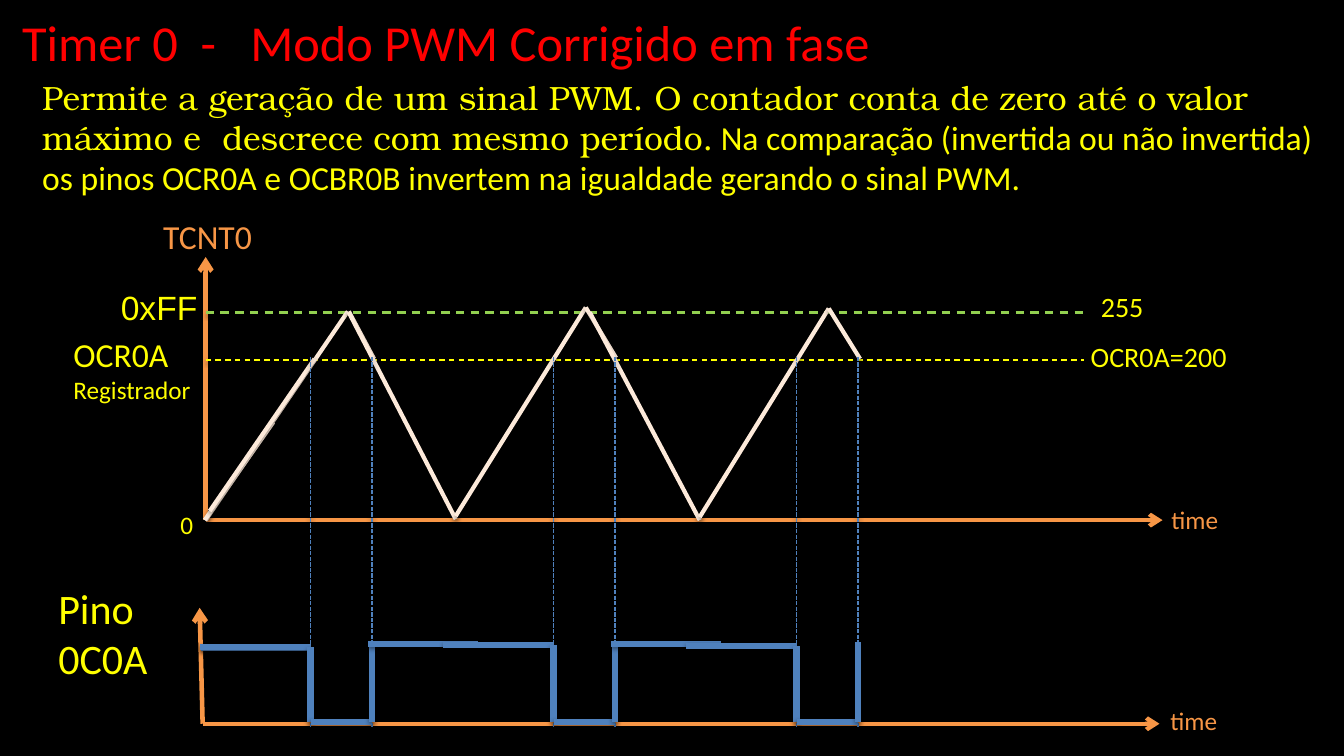
"""Build the slide on the phase-corrected PWM mode of Timer 0."""
from dataclasses import dataclass

import lxml.etree
import pptx
import pptx.dml.color
import pptx.enum.dml
import pptx.enum.shapes
import pptx.enum.text
import pptx.oxml.ns
import pptx.util

Inches = pptx.util.Inches
DASH = pptx.enum.dml.MSO_LINE.DASH
SHORT_DASH = pptx.enum.dml.MSO_LINE.SQUARE_DOT


@dataclass(frozen=True)
class Theme:
    background: str = "000000"
    title: str = "FF0000"
    text: str = "FFFF00"
    axis: str = "F79646"
    ramp: str = "FDEADA"
    pulse: str = "4F81BD"
    top: str = "92D050"
    font: str = "Calibri"
    serif: str = "TeX Gyre Bonum"
    sans: str = "Arial"
    title_size: int = 36
    pin_size: int = 30
    body_size: int = 24
    value_size: int = 20
    small_size: int = 18


class SlideBuilder:
    def __init__(self, deck, theme):
        self.theme = theme
        self.slide = deck.slides.add_slide(deck.slide_layouts[5])
        fill = self.slide.background.fill
        fill.solid()
        fill.fore_color.rgb = pptx.dml.color.RGBColor.from_string(theme.background)

    def span(self, para, text, size, color, font=None):
        run = para.add_run()
        run.text = text
        run.font.size = pptx.util.Pt(size)
        run.font.name = font or self.theme.font
        run.font.color.rgb = pptx.dml.color.RGBColor.from_string(color)

    def title(self, area, text):
        box = self.slide.shapes.title
        box.left, box.top, box.width, box.height = map(Inches, area)
        frame = box.text_frame
        frame.word_wrap = False
        frame.auto_size = pptx.enum.text.MSO_AUTO_SIZE.SHAPE_TO_FIT_TEXT
        frame.vertical_anchor = pptx.enum.text.MSO_ANCHOR.TOP
        para = frame.paragraphs[0]
        para.alignment = pptx.enum.text.PP_ALIGN.CENTER
        self.span(para, text, self.theme.title_size, self.theme.title)

    def text(self, area, paragraphs, wrap=False):
        box = self.slide.shapes.add_textbox(*map(Inches, area))
        frame = box.text_frame
        frame.word_wrap = wrap
        for index, spans in enumerate(paragraphs):
            para = frame.add_paragraph() if index else frame.paragraphs[0]
            for span in spans:
                self.span(para, *span)

    def line(self, points, color, width, dash=None, arrow=False):
        connector = self.slide.shapes.add_connector(
            pptx.enum.shapes.MSO_CONNECTOR.STRAIGHT, *map(Inches, points))
        connector.line.color.rgb = pptx.dml.color.RGBColor.from_string(color)
        connector.line.width = pptx.util.Pt(width)
        if dash:
            connector.line.dash_style = dash
        if arrow:
            line = connector.line._get_or_add_ln()
            lxml.etree.SubElement(line, pptx.oxml.ns.qn("a:tailEnd"), type="arrow")


def add_texts(page):
    theme = page.theme
    page.title((0.08, 0.06, 8.69, 0.71), "Timer 0  -   Modo PWM Corrigido em fase")
    page.text((0.32, 0.71, 12.92, 2.26), [[
        ("Permite a geração de um sinal PWM. O contador conta de zero até o valor "
         "máximo e  descrece com mesmo período.",
         theme.body_size, theme.text, theme.serif),
        (" Na comparação (invertida ou não invertida) os pinos OCR0A e OCBR0B "
         "invertem na igualdade gerando o sinal PWM.", theme.body_size, theme.text),
    ]], wrap=True)
    page.text((0.63, 3.26, 1.37, 0.81), [
        [("OCR0A", theme.body_size, theme.text)],
        [("Registrador", theme.small_size, theme.text)]])
    page.text((0.48, 5.73, 1.1, 1.11), [
        [(word, theme.pin_size, theme.text)] for word in ("Pino", "0C0A")])
    page.text((1.1, 2.8, 0.97, 0.5), [[("0xFF", theme.body_size, theme.text, theme.sans)]])
    for area, label, size, color in (
        ((1.69, 5, 0.33, 0.4), "0", theme.small_size, theme.text),
        ((1.52, 2.09, 1.09, 0.5), "TCNT0", theme.body_size, theme.axis),
        ((11.52, 4.95, 0.67, 0.4), "time", theme.small_size, theme.axis),
        ((11.51, 6.95, 0.67, 0.4), "time", theme.small_size, theme.axis),
        ((10.72, 3.32, 1.56, 0.44), "OCR0A=200", theme.value_size, theme.text),
        ((10.82, 2.82, 0.63, 0.44), "255", theme.value_size, theme.text),
    ):
        page.text(area, [[(label, size, color)]])


def add_axes(page):
    theme = page.theme
    for points, width in (
        ((2.04, 5.16, 2.04, 2.55), 3.25), ((2.04, 5.16, 11.53, 5.16), 3),
        ((2.01, 7.18, 1.98, 6.03), 3.25), ((2.01, 7.18, 11.5, 7.18), 3),
    ):
        page.line(points, theme.axis, width, arrow=True)
    page.line((2.04, 3.1, 10.75, 3.1), theme.top, 1.5, DASH)
    page.line((2.04, 3.57, 10.75, 3.57), theme.text, 1, DASH)


def add_waves(page):
    theme = page.theme
    period, low_time, low = 2.41, 0.61, 7.16
    for points in (
        (2.04, 5.16, 3.45, 3.09), (2.03, 5.16, 2.71, 4.19), (2.08, 5.07, 3.12, 3.56),
        (3.46, 3.09, 3.71, 3.56), (3.46, 3.1, 4.52, 5.15),
        (4.52, 5.12, 5.81, 3.05), (5.81, 3.05, 6.11, 3.55), (5.85, 3.1, 6.94, 5.16),
        (6.94, 5.13, 8.22, 3.06), (8.22, 3.06, 8.53, 3.56),
    ):
        page.line(points, theme.ramp, 3)
    page.line((2.01, 6.42, 2.87, 6.42), theme.pulse, 4.5)
    page.line((1.99, 6.43, 3.08, 6.43), theme.pulse, 4.5)
    for cycle, high in enumerate((6.42, 6.4, 6.41)):
        fall = 3.08 + period * cycle
        rise = fall + low_time
        for x in (fall, rise):
            page.line((x, 3.54, x, 7.21), theme.pulse, 1, SHORT_DASH)
        pulses = [(fall - 1.1, high, fall, high), (fall, high, fall, low),
                  (fall, low, rise, low), (rise, 6.37, rise, low)]
        if cycle < 2:
            pulses.append((rise - 0.04, 6.39, rise + 1.05, 6.39))
        for points in pulses:
            page.line(points, theme.pulse, 4.5)


def main():
    deck = pptx.Presentation()
    deck.slide_width, deck.slide_height = Inches(13.33), Inches(7.5)
    page = SlideBuilder(deck, Theme())
    add_texts(page)
    add_axes(page)
    add_waves(page)
    deck.save("out.pptx")


if __name__ == "__main__":
    main()
